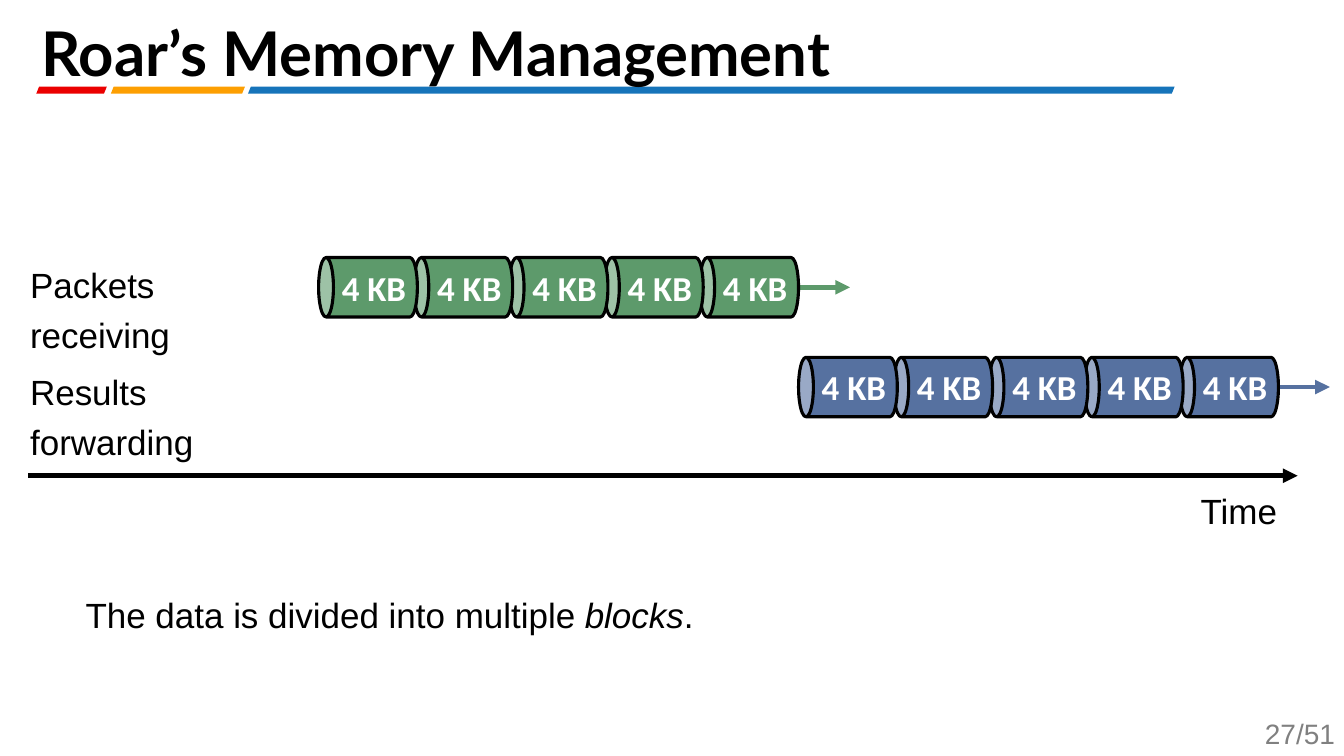
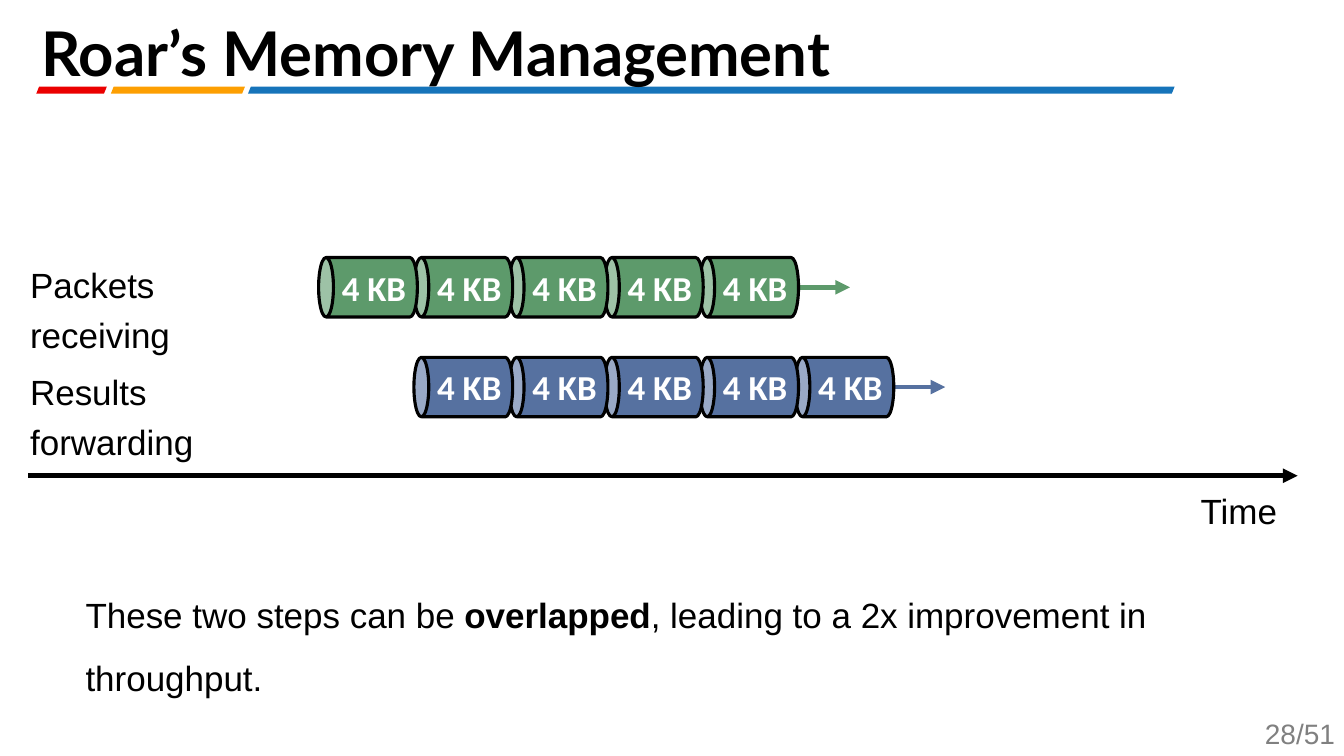
from dataclasses import dataclass

from lxml import etree
from pptx import Presentation
from pptx.dml.color import RGBColor
from pptx.enum.shapes import MSO_CONNECTOR, MSO_SHAPE
from pptx.enum.text import MSO_ANCHOR, MSO_AUTO_SIZE, PP_ALIGN
from pptx.oxml.ns import qn
from pptx.util import Inches, Pt

CAN = MSO_SHAPE.CAN
PARALLELOGRAM = MSO_SHAPE.PARALLELOGRAM
STRAIGHT = MSO_CONNECTOR.STRAIGHT
BOTTOM = MSO_ANCHOR.BOTTOM
LEFT, RIGHT = PP_ALIGN.LEFT, PP_ALIGN.RIGHT
NO_FIT = MSO_AUTO_SIZE.NONE
TITLE_ONLY = 5


@dataclass(frozen=True)
class Theme:
    black: str = "000000"
    white: str = "FFFFFF"
    grey: str = "808080"
    red: str = "EB0000"
    orange: str = "FD9F02"
    blue: str = "1674BA"
    receiving: str = "5D9A6B"
    forwarding: str = "5671A0"
    title_font: str = "Lato"
    body_font: str = "Arial"
    block_font: str = "Calibri"
    title_size: int = 44
    body_size: int = 25
    footer_size: int = 20
    arrow_width: float = 3.5
    outline_width: float = 2.25


THEME = Theme()

# Title bands: left, width, colour
BANDS = [
    (0.36, 0.7, THEME.red),
    (1.1, 1.33, THEME.orange),
    (2.46, 9.19, THEME.blue),
]
BAND_TOP, BAND_HEIGHT = 0.86, 0.07

# Rows of overlapping blocks
BLOCK_COUNT = 5
BLOCK_WIDTH, BLOCK_HEIGHT = 0.98, 0.59
ROW_WIDTH = 4.76
BLOCK_STEP = (ROW_WIDTH - BLOCK_WIDTH) / (BLOCK_COUNT - 1)
RECEIVING_LEFT = 3.16
RECEIVING_MIDDLE, FORWARDING_MIDDLE = 2.85, 3.84
ARROW_LENGTH = 0.51
LAST_PAGE = 51


class SlideBuilder:
    def __init__(self, deck, theme):
        self.deck = deck
        self.theme = theme
        self.page = None

    def start_page(self, title, number):
        """Add a page with its title, bands and page number."""
        self.page = self.deck.slides.add_slide(self.deck.slide_layouts[TITLE_ONLY])
        self.title(title)
        for left, width, color in BANDS:
            self.band(left, width, color)
        self.text(12.2, 7.06, 1.14, 0.44, [(f"{number}/{LAST_PAGE}", "")],
                  align=RIGHT, size=self.theme.footer_size, color=self.theme.grey)

    def add_span(self, para, text, font, size, color, style=""):
        span = para.add_run()
        span.text = text
        span.font.name = font
        span.font.size = Pt(size)
        span.font.color.rgb = RGBColor.from_string(color)
        span.font.bold = style == "bold"
        span.font.italic = style == "italic"

    def clear_margins(self, frame):
        frame.margin_left = frame.margin_right = 0
        frame.margin_top = frame.margin_bottom = 0

    def title(self, text):
        box = self.page.shapes.title
        box.left, box.top = Inches(0.41), Inches(0)
        box.width, box.height = Inches(12.55), Inches(0.85)
        frame = box.text_frame
        frame.auto_size = NO_FIT
        frame.vertical_anchor = BOTTOM
        self.clear_margins(frame)
        para = frame.paragraphs[0]
        para.alignment = LEFT
        para.line_spacing = 0.6
        para.space_before = Pt(10)
        self.add_span(para, text, self.theme.title_font, self.theme.title_size,
                      self.theme.black, "bold")

    def text(self, left, top, width, height, spans, spacing=1.0, align=LEFT,
             font=None, size=None, color=None, tight=False):
        box = self.page.shapes.add_textbox(
            Inches(left), Inches(top), Inches(width), Inches(height))
        frame = box.text_frame
        frame.word_wrap = not tight
        if tight:
            self.clear_margins(frame)
        para = frame.paragraphs[0]
        para.alignment = align
        para.line_spacing = spacing
        for words, style in spans:
            self.add_span(para, words, font or self.theme.body_font,
                          size or self.theme.body_size,
                          color or self.theme.black, style)

    def shape(self, kind, left, top, width, height, color):
        shape = self.page.shapes.add_shape(
            kind, Inches(left), Inches(top), Inches(width), Inches(height))
        shape.shadow.inherit = False
        shape.fill.solid()
        shape.fill.fore_color.rgb = RGBColor.from_string(color)
        return shape

    def band(self, left, width, color):
        band = self.shape(PARALLELOGRAM, left, BAND_TOP, width, BAND_HEIGHT, color)
        band.adjustments[0] = 0.4
        band.line.fill.background()
        # Bands lie behind the descenders of the title
        self.page.shapes._spTree.insert(2, band._element)

    def arrow(self, left, right, middle, color):
        arrow = self.page.shapes.add_connector(
            STRAIGHT, Inches(left), Inches(middle), Inches(right), Inches(middle))
        arrow.line.color.rgb = RGBColor.from_string(color)
        arrow.line.width = Pt(self.theme.arrow_width)
        etree.SubElement(arrow.line._get_or_add_ln(), qn("a:tailEnd"), type="triangle")
        etree.SubElement(arrow._element.spPr, qn("a:effectLst"))

    def block(self, left, middle, color):
        # A standing can is turned about its centre to lie on its side
        block = self.shape(CAN, left + (BLOCK_WIDTH - BLOCK_HEIGHT) / 2,
                           middle - BLOCK_WIDTH / 2, BLOCK_HEIGHT, BLOCK_WIDTH, color)
        block.rotation = 270
        block.line.color.rgb = RGBColor.from_string(self.theme.black)
        block.line.width = Pt(self.theme.outline_width)

    def block_row(self, left, middle, color):
        end = left + ROW_WIDTH
        self.arrow(end, end + ARROW_LENGTH, middle, color)
        lefts = [left + index * BLOCK_STEP for index in range(BLOCK_COUNT)]
        # Each block overlaps the one to its right
        for block_left in reversed(lefts):
            self.block(block_left, middle, color)
        for block_left in lefts:
            self.text(block_left + 0.23, middle - 0.21, 0.67, 0.43, [("4 KB", "bold")],
                      font=self.theme.block_font, color=self.theme.white, tight=True)

    def timeline(self, forwarding_left):
        self.text(0.2, 2.48, 2.78, 0.67, [("Packets receiving", "")], spacing=1.2)
        self.block_row(RECEIVING_LEFT, RECEIVING_MIDDLE, self.theme.receiving)
        self.text(0.2, 3.54, 2.91, 0.67, [("Results forwarding", "")], spacing=1.2)
        self.block_row(forwarding_left, FORWARDING_MIDDLE, self.theme.forwarding)
        self.arrow(0.28, 12.87, 4.72, self.theme.black)
        self.text(11.81, 4.72, 0.98, 0.67, [("Time", "")], spacing=1.2)

    def remark(self, spans):
        self.text(0.75, 5.63, 12.4, 0.67, spans, spacing=1.5)


# Page number, start of the forwarding row, remark
PAGES = [
    (27, RECEIVING_LEFT + ROW_WIDTH, [
        ("The data is divided into multiple ", ""),
        ("blocks", "italic"),
        (".", ""),
    ]),
    (28, RECEIVING_LEFT + BLOCK_STEP, [
        ("These two steps can be ", ""),
        ("overlapped", "bold"),
        (", leading to a 2x improvement in throughput.", ""),
    ]),
]


def main():
    deck = Presentation()
    deck.slide_width, deck.slide_height = Inches(13.33), Inches(7.5)
    builder = SlideBuilder(deck, THEME)
    for number, forwarding_left, remark in PAGES:
        builder.start_page("Roar’s Memory Management", number)
        builder.timeline(forwarding_left)
        builder.remark(remark)
    deck.save("out.pptx")


if __name__ == "__main__":
    main()
